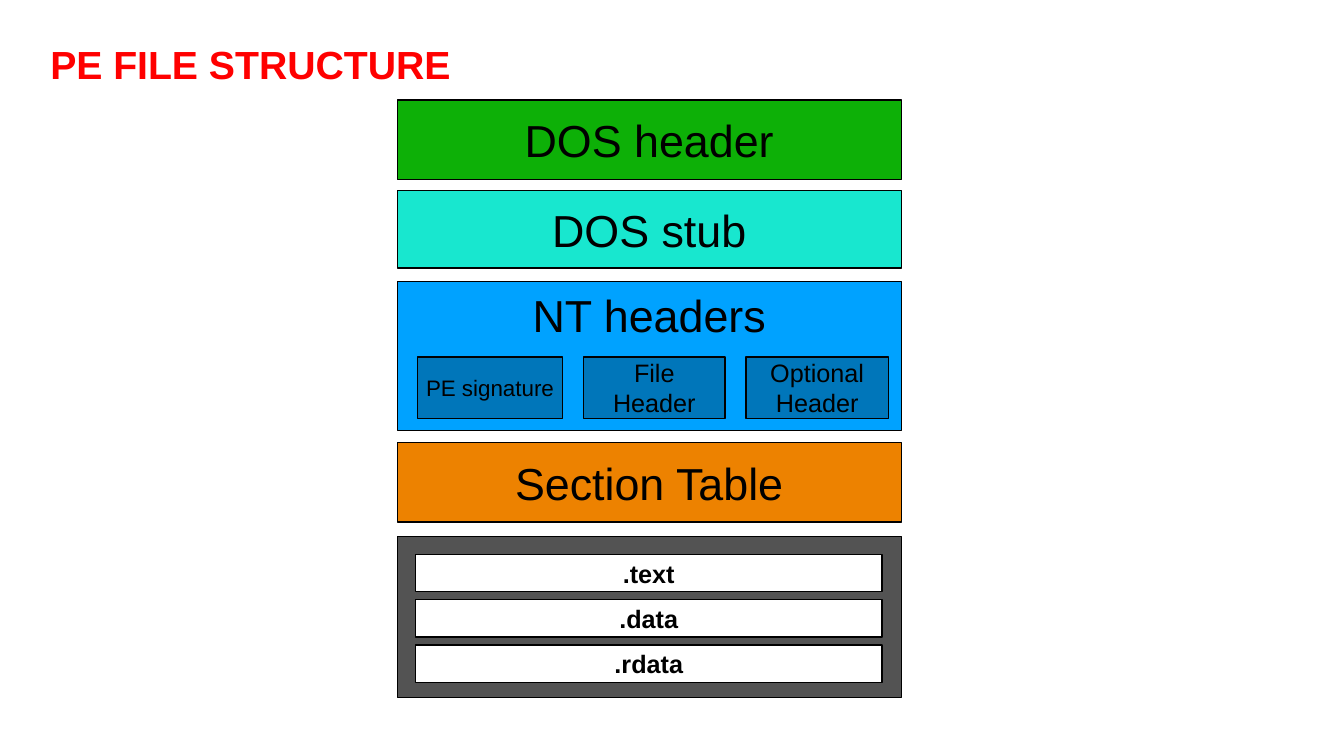
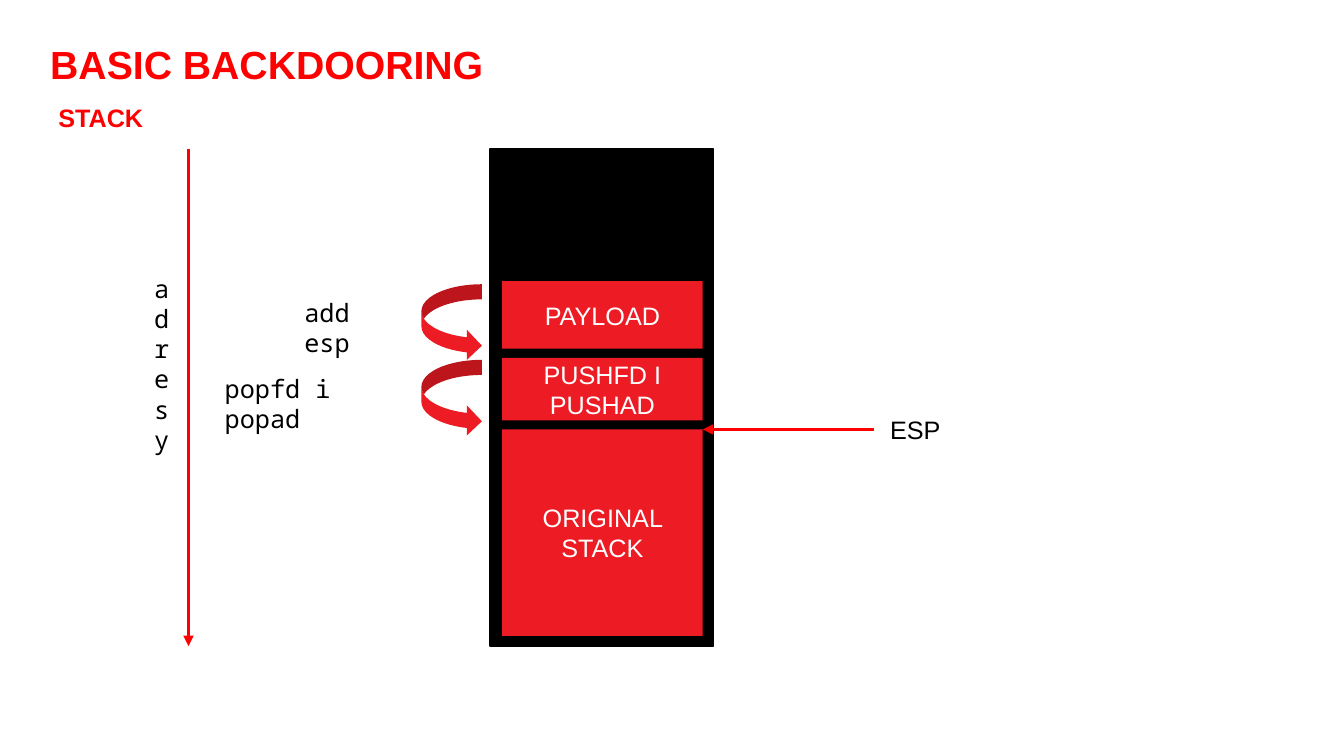
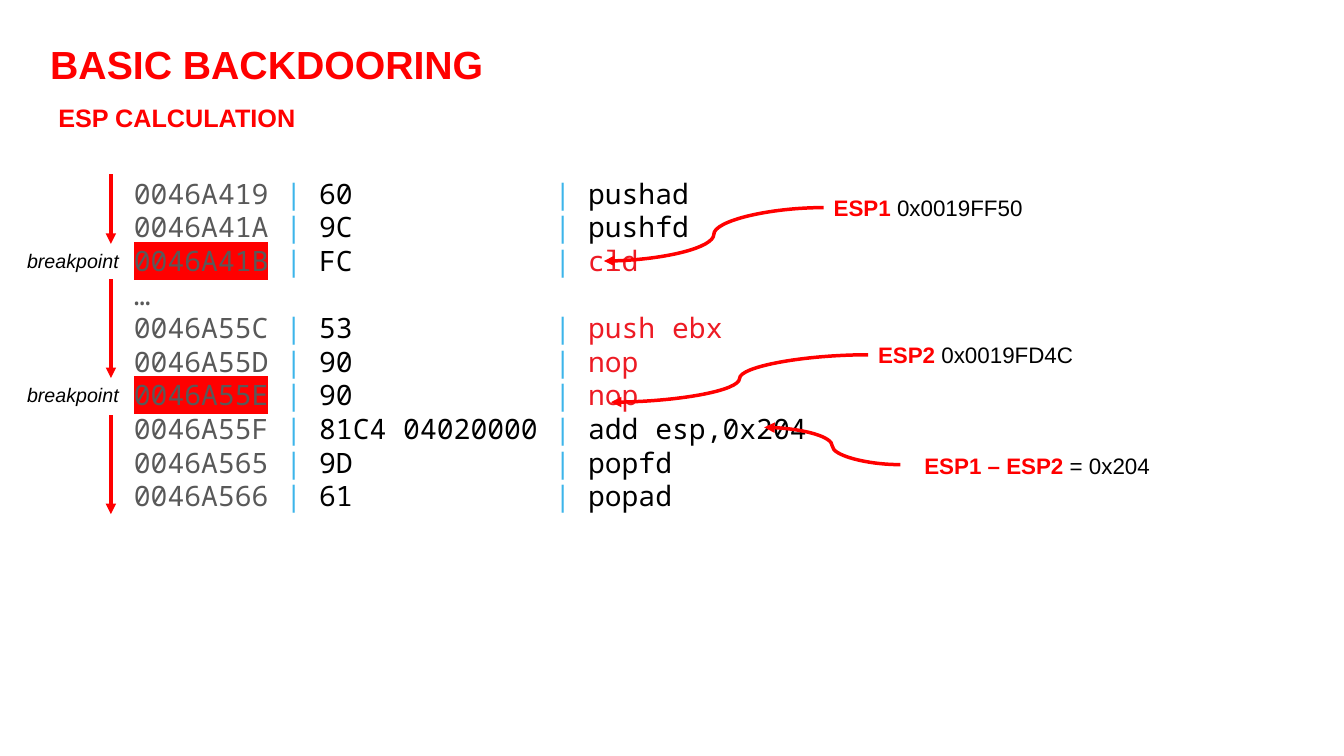
from lxml.etree import SubElement
from pptx import Presentation
from pptx.dml.color import RGBColor
from pptx.enum.shapes import MSO_CONNECTOR, MSO_SHAPE
from pptx.enum.text import MSO_ANCHOR, PP_ALIGN
from pptx.oxml.ns import qn
from pptx.util import Inches, Pt

RED, BRICK, BLACK, WHITE = "FF0000", "ED1B24", "000000", "FFFFFF"
GREY, SKY = "595959", "3CB5EA"
SANS, MONO = "Arial", "Noto Sans Mono"


def add_box(page, place, paragraphs=(), size=18, font=SANS, shape=None, fill=None,
            outline=None, inset=None, anchor=MSO_ANCHOR.MIDDLE):
    """Add a text box, or a filled shape with centred text.

    Each paragraph is a list of (text, colour, style) runs; the style letters
    are b for bold, i for italic and h for a red highlight.
    """
    place = [Inches(length) for length in place]
    if shape is None:
        box = page.shapes.add_textbox(*place)
    else:
        box = page.shapes.add_shape(shape, *place)
        box.shadow.inherit = False
        box.fill.solid()
        box.fill.fore_color.rgb = RGBColor.from_string(fill)
        if outline:
            box.line.color.rgb = RGBColor.from_string(outline)
            box.line.width = Pt(1)
        else:
            box.line.fill.background()
        box.text_frame.vertical_anchor = anchor
    frame = box.text_frame
    frame.word_wrap = True
    if inset is not None:
        frame.margin_left = frame.margin_right = Inches(inset)
        frame.margin_top = frame.margin_bottom = Inches(inset)
    for number, runs in enumerate(paragraphs):
        para = frame.add_paragraph() if number else frame.paragraphs[0]
        para.alignment = PP_ALIGN.LEFT if shape is None else PP_ALIGN.CENTER
        for text, colour, style in runs:
            span = para.add_run()
            span.text = text
            span.font.size = Pt(size)
            span.font.bold = "b" in style
            span.font.italic = "i" in style
            span.font.color.rgb = RGBColor.from_string(colour)
            if "h" in style:
                highlight = SubElement(span.font._element, qn("a:highlight"))
                SubElement(highlight, qn("a:srgbClr"), val=RED)
            span.font.name = font
    return box


def add_arrow(page, start, end, kind=MSO_CONNECTOR.STRAIGHT):
    arrow = page.shapes.add_connector(kind, *[Inches(length) for length in start + end])
    arrow.line.color.rgb = RGBColor.from_string(RED)
    arrow.line.width = Pt(2.5)
    SubElement(arrow.line._get_or_add_ln(), qn("a:tailEnd"), type="triangle")
    SubElement(arrow._element.spPr, qn("a:effectLst"))


deck = Presentation()
deck.slide_width, deck.slide_height = Inches(13.33), Inches(7.5)

pages = []
for title, title_width, subtitle, subtitle_width in [
    ("PE FILE STRUCTURE", 4.21, None, 0),
    ("BASIC BACKDOORING", 4.54, "STACK", 1.1),
    ("BASIC BACKDOORING", 4.54, "ESP CALCULATION", 2.6),
]:
    page = deck.slides.add_slide(deck.slide_layouts[6])
    add_box(page, (0.4, 0.35, title_width, 0.57), [[(title, RED, "b")]], size=28)
    if subtitle:
        add_box(page, (0.48, 0.97, subtitle_width, 0.57), [[(subtitle, RED, "b")]])
    pages.append(page)
structure, stack, calculation = pages

# PE file structure
for label, top, height, fill, anchor in [
    ("DOS header", 0.99, 0.79, "0DB007", MSO_ANCHOR.MIDDLE),
    ("DOS stub", 1.89, 0.77, "18E7CF", MSO_ANCHOR.MIDDLE),
    ("NT headers", 2.79, 1.48, "00A2FF", MSO_ANCHOR.TOP),
    ("Section Table", 4.39, 0.79, "ED8200", MSO_ANCHOR.MIDDLE),
    (None, 5.32, 1.6, "535353", MSO_ANCHOR.MIDDLE),
]:
    add_box(structure, (3.94, top, 5, height), [[(label, BLACK, "")]] if label else (),
            size=32, shape=MSO_SHAPE.RECTANGLE, fill=fill, outline=BLACK,
            inset=0.06, anchor=anchor)

for label, left, width, size in [
    ("PE signature", 4.14, 1.44, 16),
    ("File Header", 5.79, 1.4, 18),
    ("Optional Header", 7.4, 1.41, 18),
]:
    add_box(structure, (left, 3.54, width, 0.61), [[(label, BLACK, "")]], size=size,
            shape=MSO_SHAPE.RECTANGLE, fill="0076BA", outline=BLACK, inset=0.06)

for row, section in enumerate([".text", ".data", ".rdata"]):
    add_box(structure, (4.12, 5.5 + 0.45 * row, 4.63, 0.37), [[(section, BLACK, "b")]],
            shape=MSO_SHAPE.RECTANGLE, fill=WHITE, outline=BLACK, inset=0.05)

# Stack
add_box(stack, (4.86, 1.48, 2.22, 4.93), shape=MSO_SHAPE.RECTANGLE,
        fill=BLACK, outline=BLACK)
for label, top, height in [
    ("PAYLOAD", 2.79, 0.67),
    ("PUSHFD I PUSHAD", 3.55, 0.62),
    ("ORIGINAL STACK", 4.26, 2.05),
]:
    add_box(stack, (4.98, top, 1.99, height), [[(label, WHITE, "")]],
            shape=MSO_SHAPE.RECTANGLE, fill=BRICK)

for code, left, width, top in [
    ("add esp", 2.92, 1.17, 2.82),
    ("popfd i popad", 2.13, 2, 3.57),
]:
    add_box(stack, (left, top + 0.08, width, 0.4), [[(code, BLACK, "")]], font=MONO)
    add_box(stack, (4.18, top, 0.6, 0.76), shape=MSO_SHAPE.CURVED_RIGHT_ARROW, fill=BRICK)

add_arrow(stack, (8.67, 4.26), (6.97, 4.26))
add_box(stack, (8.73, 4.06, 0.75, 0.4), [[("ESP", BLACK, "")]])
add_arrow(stack, (1.87, 1.48), (1.87, 6.41))
addresses = add_box(stack, (1.43, 2.66, 0.55, 2.17), [[("adresy", BLACK, "")]], font=MONO)
addresses.text_frame.word_wrap = False
addresses.text_frame._txBody.bodyPr.set("vert", "wordArtVert")

# ESP calculation
listing = []
for address, code, instruction, colour, style in [
    ("0046A419", "60", "pushad", BLACK, ""),
    ("0046A41A", "9C", "pushfd", BLACK, ""),
    ("0046A41B", "FC", "cld", BRICK, "h"),
    ("…", None, None, None, ""),
    ("0046A55C", "53", "push ebx", BRICK, ""),
    ("0046A55D", "90", "nop", BRICK, ""),
    ("0046A55E", "90", "nop", BRICK, "h"),
    ("0046A55F", "81C4 04020000", "add esp,0x204", BLACK, ""),
    ("0046A565", "9D", "popfd", BLACK, ""),
    ("0046A566", "61", "popad", BLACK, ""),
]:
    runs = [(address, GREY, style)]
    if code:
        runs += [(" | ", SKY, ""), (code, BLACK, ""), ("\t| ", SKY, ""),
                 (instruction, colour, "")]
    listing.append(runs)
disassembly = add_box(calculation, (1.23, 1.7, 6.95, 3.47), listing, size=20, font=MONO)
for para in disassembly.text_frame.paragraphs:
    tabs = SubElement(para._p.get_or_add_pPr(), qn("a:tabLst"))
    SubElement(tabs, qn("a:tab"), pos=str(Inches(4.17)), algn="l")

for top, bottom in [(1.73, 2.42), (2.77, 3.75), (4.12, 5.1)]:
    add_arrow(calculation, (1.1, top), (1.1, bottom))
for top in (2.42, 3.75):
    add_box(calculation, (0.17, top, 1.2, 0.34), [[("breakpoint", BLACK, "i")]], size=14)

for name, value, left, top, width, start, end in [
    ("ESP1", " 0x0019FF50", 8.17, 1.88, 2.85, (8.17, 2.06), (5.99, 2.59)),
    ("ESP2", " 0x0019FD4C", 8.61, 3.34, 3.02, (8.61, 3.52), (6.06, 3.99)),
    ("ESP1 – ESP2", " = 0x204", 9.07, 4.44, 3.53, (8.93, 4.61), (7.58, 4.24)),
]:
    add_box(calculation, (left, top, width, 0.37),
            [[(name, RED, "b"), (value, BLACK, "")]], size=16)
    add_arrow(calculation, start, end, MSO_CONNECTOR.CURVE)

deck.save("out.pptx")
